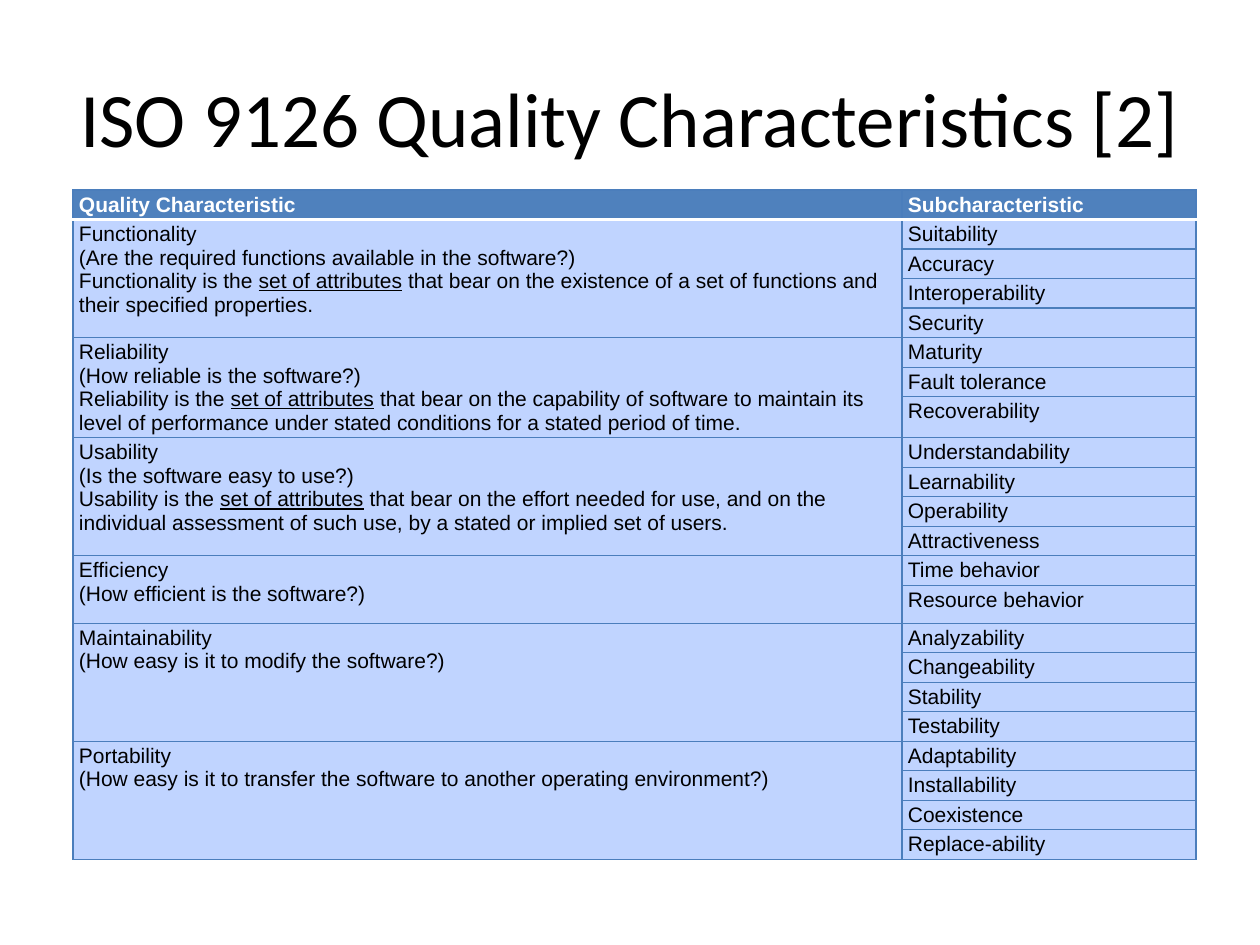
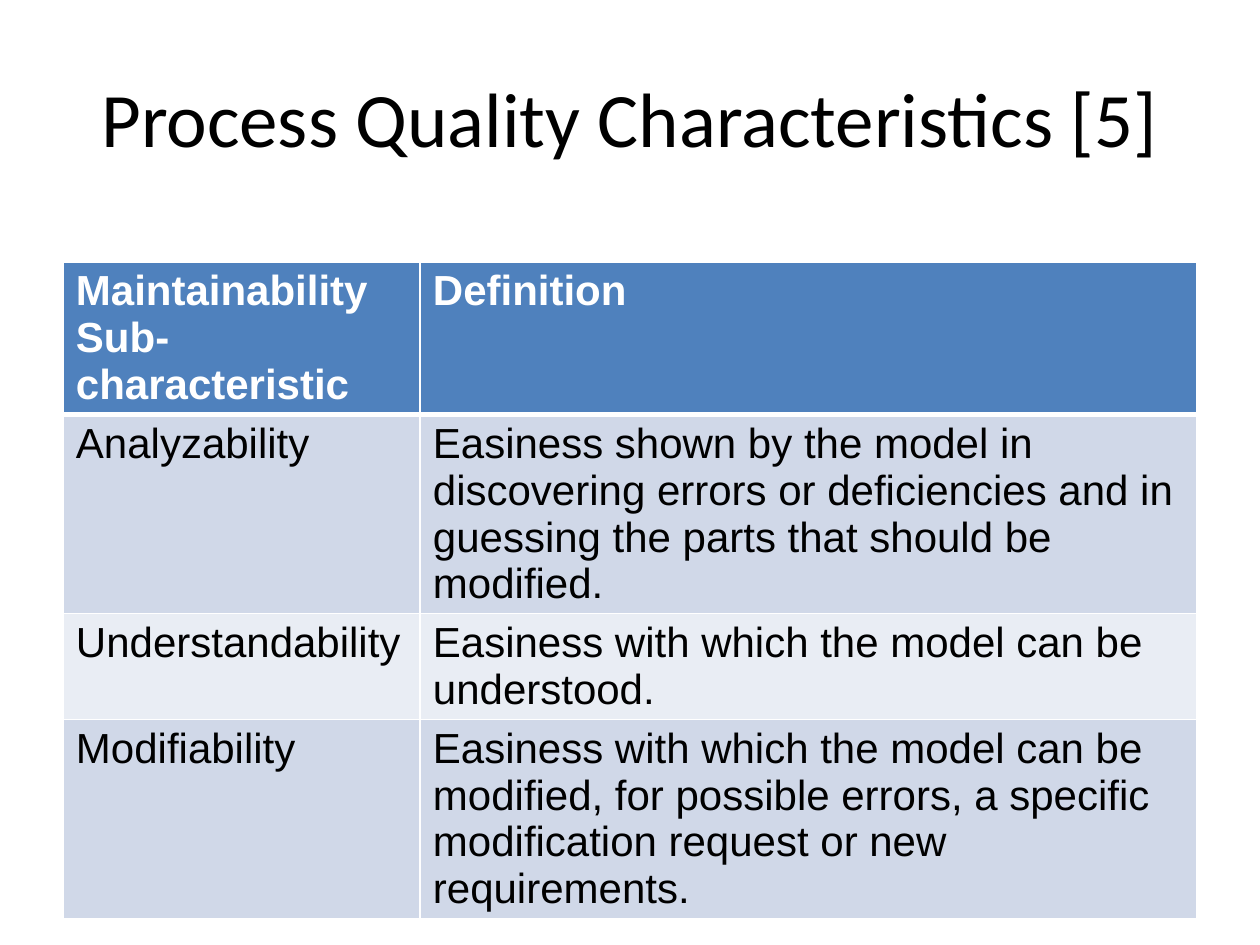
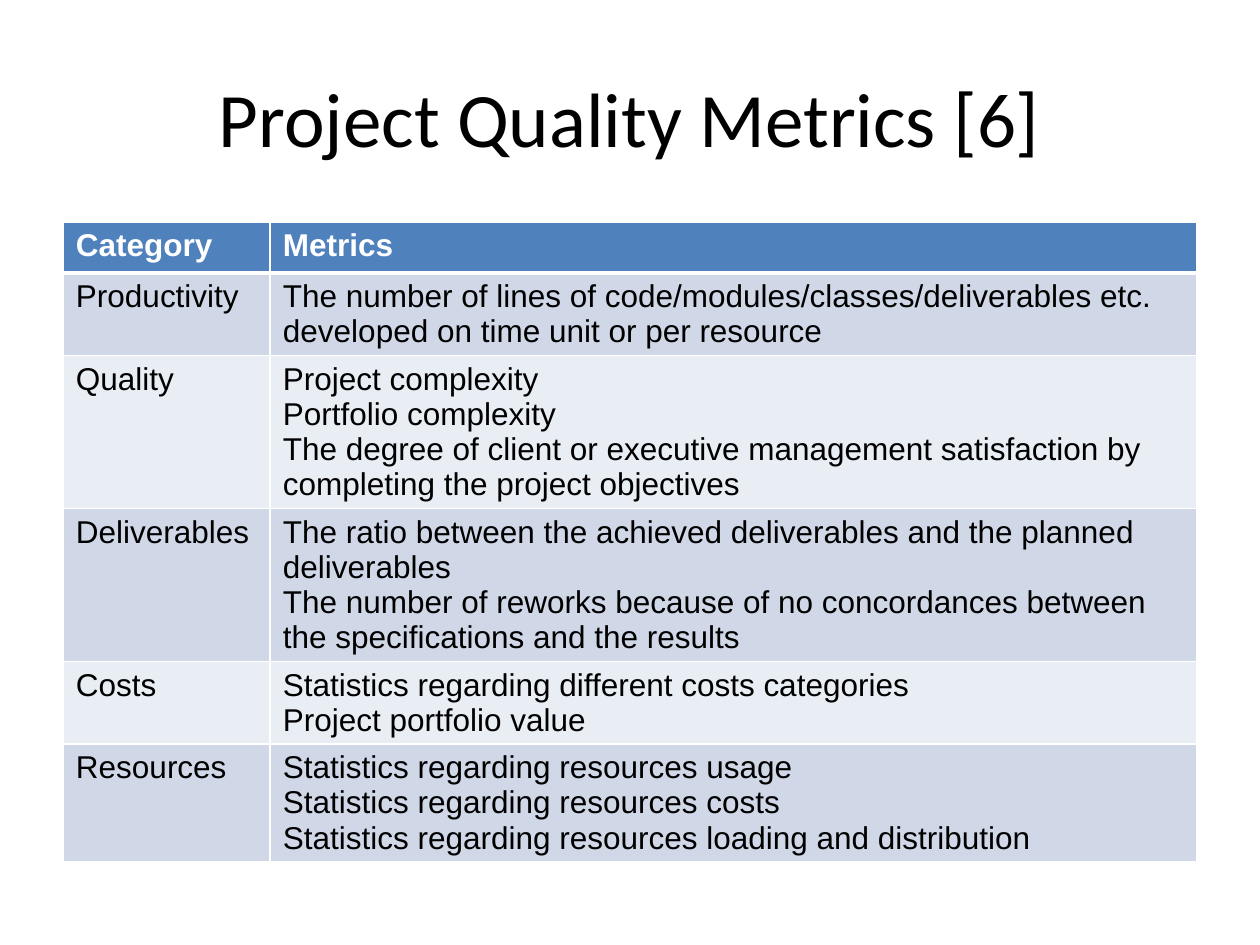
from lxml.etree import SubElement
from pptx import Presentation
from pptx.dml.color import RGBColor
from pptx.enum.text import MSO_ANCHOR as Anchor, PP_ALIGN as Align
from pptx.oxml.ns import qn
from pptx.util import Emu, Pt

PX_PER_INCH = 126
WHITE, BLACK = "FFFFFF", "000000"
HEADER_BLUE, GRID_BLUE, PALE_BLUE = "4F81BD", "4B7EBC", "C0D4FF"
BANDS = ["D0D8E8", "E9EDF4"]
TITLE_FONT = dict(name="Calibri", size=Pt(44), bold=False)
TITLE_BOX = dict(left=63, top=38, width=1134, height=157)

# Underscores mark underlined words.
ISO_CHARACTERISTICS = [
    (["Functionality",
      "(Are the required functions available in the software?)",
      "Functionality is the _set of attributes_ that bear on the existence of a set of "
      "functions and their specified properties."],
     ["Suitability", "Accuracy", "Interoperability", "Security"]),
    (["Reliability",
      "(How reliable is the software?)",
      "Reliability is the _set of attributes_ that bear on the capability of software to "
      "maintain its level of performance under stated conditions for a stated period of time."],
     ["Maturity", "Fault tolerance", "Recoverability"]),
    (["Usability",
      "(Is the software easy to use?)",
      "Usability is the _set of attributes_ that bear on the effort needed for use, and on "
      "the individual assessment of such use, by a stated or implied set of users."],
     ["Understandability", "Learnability", "Operability", "Attractiveness"]),
    (["Efficiency", "(How efficient is the software?)"],
     ["Time behavior", "Resource behavior"]),
    (["Maintainability", "(How easy is it to modify the software?)"],
     ["Analyzability", "Changeability", "Stability", "Testability"]),
    (["Portability",
      "(How easy is it to transfer the software to another operating environment?)"],
     ["Adaptability", "Installability", "Coexistence", "Replace-ability"]),
]

MAINTAINABILITY = [
    (["Maintainability Sub-characteristic"], ["Definition"]),
    (["Analyzability"],
     ["Easiness shown by the model in discovering errors or deficiencies and in guessing "
      "the parts that should be modified."]),
    (["Understandability"], ["Easiness with which the model can be understood."]),
    (["Modifiability"],
     ["Easiness with which the model can be modified, for possible errors, a specific "
      "modification request or new requirements."]),
]

PROJECT_METRICS = [
    (["Category"], ["Metrics"]),
    (["Productivity"],
     ["The number of lines of code/modules/classes/deliverables etc. developed on time "
      "unit or per resource"]),
    (["Quality"],
     ["Project complexity",
      "Portfolio complexity",
      "The degree of client or executive management satisfaction by completing the "
      "project objectives"]),
    (["Deliverables"],
     ["The ratio between the achieved deliverables and the planned deliverables",
      "The number of reworks because of no concordances between the specifications and "
      "the results"]),
    (["Costs"],
     ["Statistics regarding different costs categories", "Project portfolio value"]),
    (["Resources"],
     ["Statistics regarding resources usage",
      "Statistics regarding resources costs",
      "Statistics regarding resources loading and distribution"]),
]

BANDED = dict(fills=BANDS, line=WHITE, line_width=1, header_line=3,
              margins=dict(margin_left=13, margin_right=13, margin_top=6, margin_bottom=6))
GRID = dict(fills=[PALE_BLUE], line=GRID_BLUE, line_width=0.75, header_line=2,
            margins=dict(margin_left=6, margin_right=6, margin_top=3, margin_bottom=3))


def px(length):
    return Emu(round(length * 914400 / PX_PER_INCH))


def rgb(color):
    return RGBColor.from_string(color)


def set_all(target, values):
    for name, value in values.items():
        setattr(target, name, value)


def set_lengths(target, lengths):
    set_all(target, {name: px(length) for name, length in lengths.items()})


def add_border(cell, side, color, width):
    """Draw one cell edge; call in the order L, R, T, B and before the fill."""
    line = SubElement(cell._tc.get_or_add_tcPr(), qn(f"a:ln{side}"), w=str(Pt(width)))
    fill = SubElement(line, qn("a:solidFill"))
    SubElement(fill, qn("a:srgbClr"), val=color)


class Deck:
    def __init__(self):
        self.presentation = Presentation()
        set_all(self.presentation, dict(slide_width=px(1260), slide_height=px(945)))
        self.slide = None

    def add_slide(self, title):
        layout = self.presentation.slide_layouts.get_by_name("Title Only")
        self.slide = self.presentation.slides.add_slide(layout)
        shape = self.slide.shapes.title
        set_lengths(shape, TITLE_BOX)
        shape.text_frame.vertical_anchor = Anchor.MIDDLE
        paragraph = shape.text_frame.paragraphs[0]
        paragraph.alignment = Align.CENTER
        self.add_run(paragraph, title, BLACK, TITLE_FONT)

    def add_run(self, paragraph, text, color, font):
        run = paragraph.add_run()
        run.text = text
        set_all(run.font, font)
        run.font.color.rgb = rgb(color)

    def add_table(self, left, top, height, columns, row_heights, rows, size, style):
        """Rows grow to fit their text; a cell of None joins the one above it."""
        frame = self.slide.shapes.add_table(
            len(rows), len(columns), px(left), px(top), px(sum(columns)), px(height))
        table = frame.table
        for column, width in zip(table.columns, columns):
            column.width = px(width)
        for row, row_height in zip(table.rows, row_heights):
            row.height = px(row_height)
        frame.height = px(height)
        for r, row in enumerate(rows):
            for c, lines in enumerate(row):
                self.format_cell(table.cell(r, c), r, style)
                if lines:
                    self.fill_cell(table.cell(r, c), lines, size, header=r == 0)
        for c in range(len(columns)):
            starts = [r for r, row in enumerate(rows) if row[c]] + [len(rows)]
            for start, end in zip(starts, starts[1:]):
                if end - start > 1:
                    table.cell(start, c).merge(table.cell(end - 1, c))

    def format_cell(self, cell, row, style):
        set_lengths(cell, style["margins"])
        edge = style["line"], style["line_width"]
        header_edge = WHITE, style["header_line"]
        borders = dict(L=edge, R=edge, T=header_edge if row == 1 else edge,
                       B=header_edge if row == 0 else edge)
        for side, (color, width) in borders.items():
            add_border(cell, side, color, width)
        fills = style["fills"]
        cell.fill.solid()
        cell.fill.fore_color.rgb = rgb(fills[(row - 1) % len(fills)] if row else HEADER_BLUE)

    def fill_cell(self, cell, lines, size, header):
        color = WHITE if header else BLACK
        for i, line in enumerate(lines):
            frame = cell.text_frame
            paragraph = frame.add_paragraph() if i else frame.paragraphs[0]
            for j, text in enumerate(line.split("_")):
                font = dict(name="Arial", size=Pt(size), bold=header, underline=j % 2 == 1)
                self.add_run(paragraph, text, color, font)


def main():
    deck = Deck()

    deck.add_slide("ISO 9126 Quality Characteristics [2]")
    rows = [(["Quality Characteristic"], ["Subcharacteristic"])]
    for description, subcharacteristics in ISO_CHARACTERISTICS:
        for i, name in enumerate(subcharacteristics):
            rows.append((None if i else description, [name]))
    heights = [38 if row[1] == ["Resource behavior"] else 25 for row in rows]
    deck.add_table(73, 190, 709, [829, 294], heights, rows, 12, GRID)

    for title, top, height, columns, rows, size in [
        ("Process Quality Characteristics [5]", 262, 554, [357, 777], MAINTAINABILITY, 24),
        ("Project Quality Metrics [6]", 222, 682, [207, 927], PROJECT_METRICS, 18),
    ]:
        deck.add_slide(title)
        deck.add_table(63, top, height, columns, [51] * len(rows), rows, size, BANDED)

    deck.presentation.save("out.pptx")


if __name__ == "__main__":
    main()
